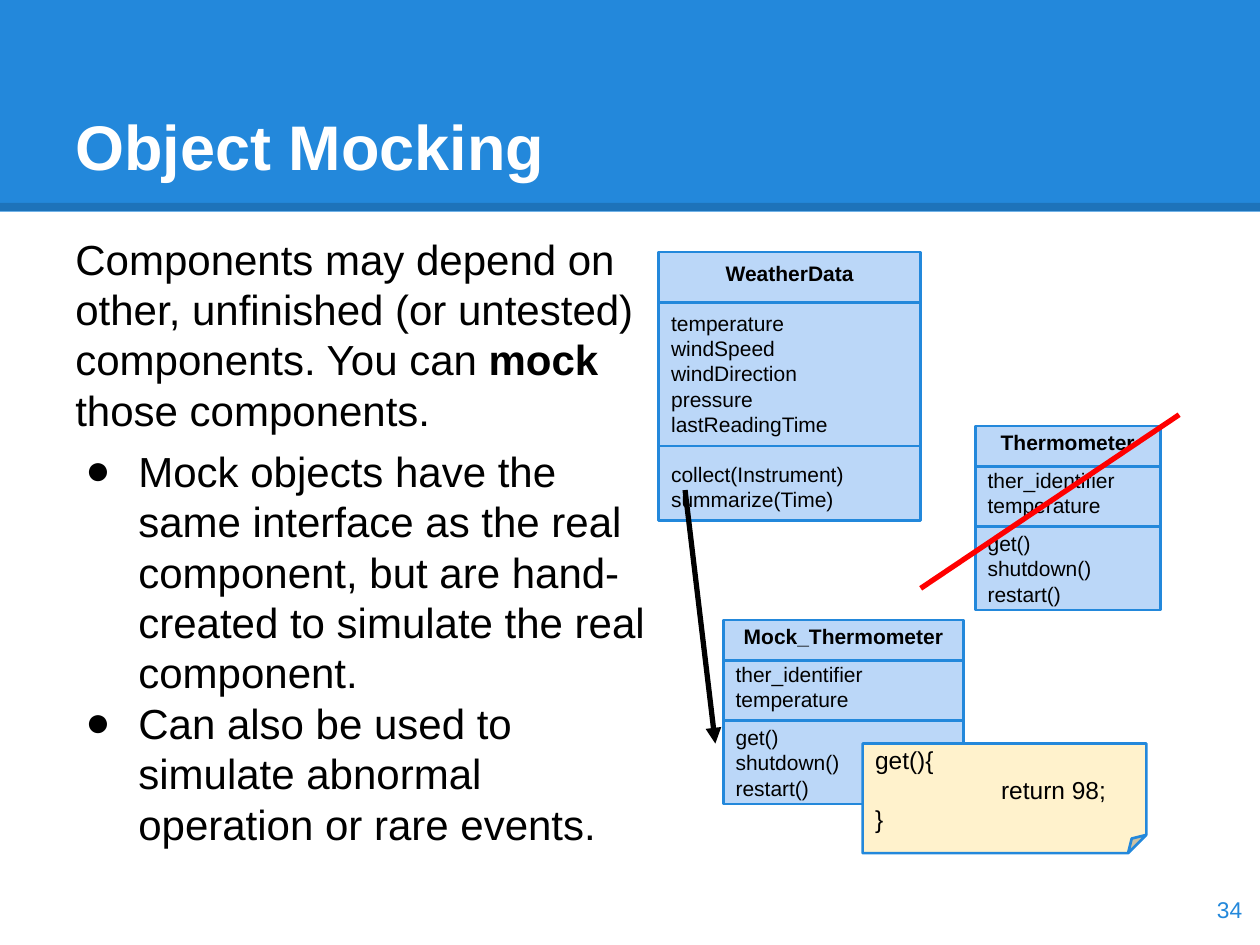
import pptx
import pptx.dml.color
import pptx.enum.shapes
import pptx.enum.text
import pptx.oxml
import pptx.oxml.ns
import pptx.util
from pptx.util import Cm, Pt

SHAPE = pptx.enum.shapes.MSO_SHAPE
ALIGN = pptx.enum.text.PP_ALIGN
ANCHOR = pptx.enum.text.MSO_ANCHOR
BLUE, PALE_BLUE, CREAM = "2388DB", "BBD7F8", "FFF2CC"
BLACK, WHITE, RED = "000000", "FFFFFF", "FF0000"
LEADING = 1.2


def colour(value):
    return pptx.dml.color.RGBColor.from_string(value)


def add_xml(parent, tag, **attributes):
    element = pptx.oxml.parse_xml(f"<a:{tag} {pptx.oxml.ns.nsdecls('a')}/>")
    for name, value in attributes.items():
        element.set(name, str(value))
    parent.append(element)
    return element


def set_frame(shape, anchor):
    frame = shape.text_frame
    settings = {"word_wrap": True, "vertical_anchor": anchor}
    for side in ("left", "top", "right", "bottom"):
        settings[f"margin_{side}"] = Cm(0.25)
    for name, value in settings.items():
        setattr(frame, name, value)
    return frame


def add_para(frame, spans, size, hue=BLACK, align=ALIGN.LEFT, before=0,
             margin=0, hanging=0, bullet=None):
    """Add a paragraph of (text, bold) spans; the first one fills the empty frame."""
    first = frame.paragraphs[0]
    para = frame.add_paragraph() if first.runs else first
    layout = {"alignment": align, "space_before": Pt(before),
              "line_spacing": Pt(round(size * LEADING, 1))}
    for name, value in layout.items():
        setattr(para, name, value)
    properties = para._p.get_or_add_pPr()
    properties.set("marL", str(Cm(margin)))
    properties.set("indent", str(Cm(-hanging)))
    if bullet:
        add_xml(add_xml(properties, "buClr"), "srgbClr", val=BLACK)
        add_xml(properties, "buFont", typeface="Arial")
        add_xml(properties, "buChar", char=bullet)
    for text, bold in spans:
        span = para.add_run()
        span.text = text
        style = {"name": "Arial", "size": Pt(size), "bold": bold}
        for name, value in style.items():
            setattr(span.font, name, value)
        span.font.color.rgb = colour(hue)


def add_text_box(page, box, anchor):
    return set_frame(page.shapes.add_textbox(*map(Cm, box)), anchor)


def add_panel(page, box, kind, fill, outline=None):
    shape = page.shapes.add_shape(kind, *map(Cm, box))
    shape.shadow.inherit = False
    shape.fill.solid()
    shape.fill.fore_color.rgb = colour(fill)
    if outline:
        shape.line.color.rgb = colour(outline)
        shape.line.width = Pt(1.5)
    else:
        shape.line.fill.background()
    return shape


def add_line(page, start, end, hue, width):
    line = page.shapes.add_connector(
        pptx.enum.shapes.MSO_CONNECTOR.STRAIGHT, *map(Cm, (*start, *end)))
    line.line.color.rgb = colour(hue)
    line.line.width = Pt(width)
    add_xml(line._element.spPr, "effectLst")
    return line


def add_header(page, box, title):
    left, top, width, height = box
    add_panel(page, box, SHAPE.RECTANGLE, BLUE)
    edge = top + height - 0.1
    rule = add_line(page, (left, edge), (left + width, edge), BLACK, 4.5)
    shade = rule.line._get_or_add_ln().find(".//" + pptx.oxml.ns.qn("a:srgbClr"))
    add_xml(shade, "alpha", val=15000)
    frame = add_text_box(page, (left + 1.27, top + 0.76, width - 2.54, 3.18),
                         ANCHOR.BOTTOM)
    add_para(frame, [(title, True)], 36, WHITE)


def add_body(page, box, intro, points):
    frame = add_text_box(page, box, ANCHOR.TOP)
    add_para(frame, intro, 24)
    for index, point in enumerate(points):
        add_para(frame, [(point, False)], 24, before=0 if index else 6,
                 margin=1.27, hanging=1.07, bullet="●")


def add_class(page, box, name, sections, dividers, gap):
    """Draw a class box; dividers are offsets from its top, gap is in points."""
    left, top, width, height = box
    frame = set_frame(add_panel(page, box, SHAPE.RECTANGLE, PALE_BLUE, BLUE),
                      ANCHOR.MIDDLE)
    add_para(frame, [(name, True)], 12, align=ALIGN.CENTER)
    for members in sections:
        for index, member in enumerate(members):
            add_para(frame, [(member, False)], 12, before=0 if index else gap)
    for offset in dividers:
        add_line(page, (left, top + offset), (left + width, top + offset), BLUE, 1.5)


def add_code_note(page, box, lines):
    note = add_panel(page, box, SHAPE.FOLDED_CORNER, CREAM, BLUE)
    frame = set_frame(note, ANCHOR.MIDDLE)
    for text, margin in lines:
        add_para(frame, [(text, False)], 14, margin=margin)


def add_page_number(page, box, number):
    frame = add_text_box(page, box, ANCHOR.MIDDLE)
    add_para(frame, [(number, False)], 13, BLUE, ALIGN.RIGHT)


def add_class_diagram(page, left, top):
    add_class(page, (left, top, 5.28, 5.41), "WeatherData",
              [["temperature", "windSpeed", "windDirection", "pressure",
                "lastReadingTime"],
               ["collect(Instrument)", "summarize(Time)"]],
              (1.02, 3.91), 14.4)
    thermometer = [["ther_identifier", "temperature"],
                   ["get()", "shutdown()", "restart()"]]
    for name, x, y, width in (("Thermometer", 6.38, 3.51, 3.73),
                              ("Mock_Thermometer", 1.3, 7.42, 4.85)):
        add_class(page, (left + x, top + y, width, 3.71), name, thermometer,
                  (0.82, 2.02), 7.2)
    add_line(page, (left + 5.28, top + 6.78), (left + 10.49, top + 3.28), RED, 3)
    arrow = add_line(page, (left + 0.53, top + 4.8), (left + 1.14, top + 9.91),
                     BLACK, 3)
    add_xml(arrow.line._get_or_add_ln(), "tailEnd", type="triangle")
    add_code_note(page, (left + 4.11, top + 9.91, 5.72, 2.21),
                  [("get(){", 0), ("return 98;", 2.54), ("}", 0)])


def main():
    deck = pptx.Presentation()
    deck.slide_width, deck.slide_height = Cm(25.4), Cm(19.05)
    page = deck.slides.add_slide(deck.slide_layouts[6])
    add_header(page, (0, 0, 25.4, 4.27), "Object Mocking")
    add_body(page, (1.27, 4.45, 12.22, 13.79),
             [("Components may depend on other, unfinished (or untested) "
               "components. You can ", False),
              ("mock ", True), ("those components.", False)],
             ["Mock objects have the same interface as the real component, "
              "but are hand-created to simulate the real component.",
              "Can also be used to simulate abnormal operation or rare events."])
    add_class_diagram(page, 13.28, 5.08)
    add_page_number(page, (23.77, 17.6, 1.52, 1.45), "34")
    deck.save("out.pptx")


if __name__ == "__main__":
    main()
